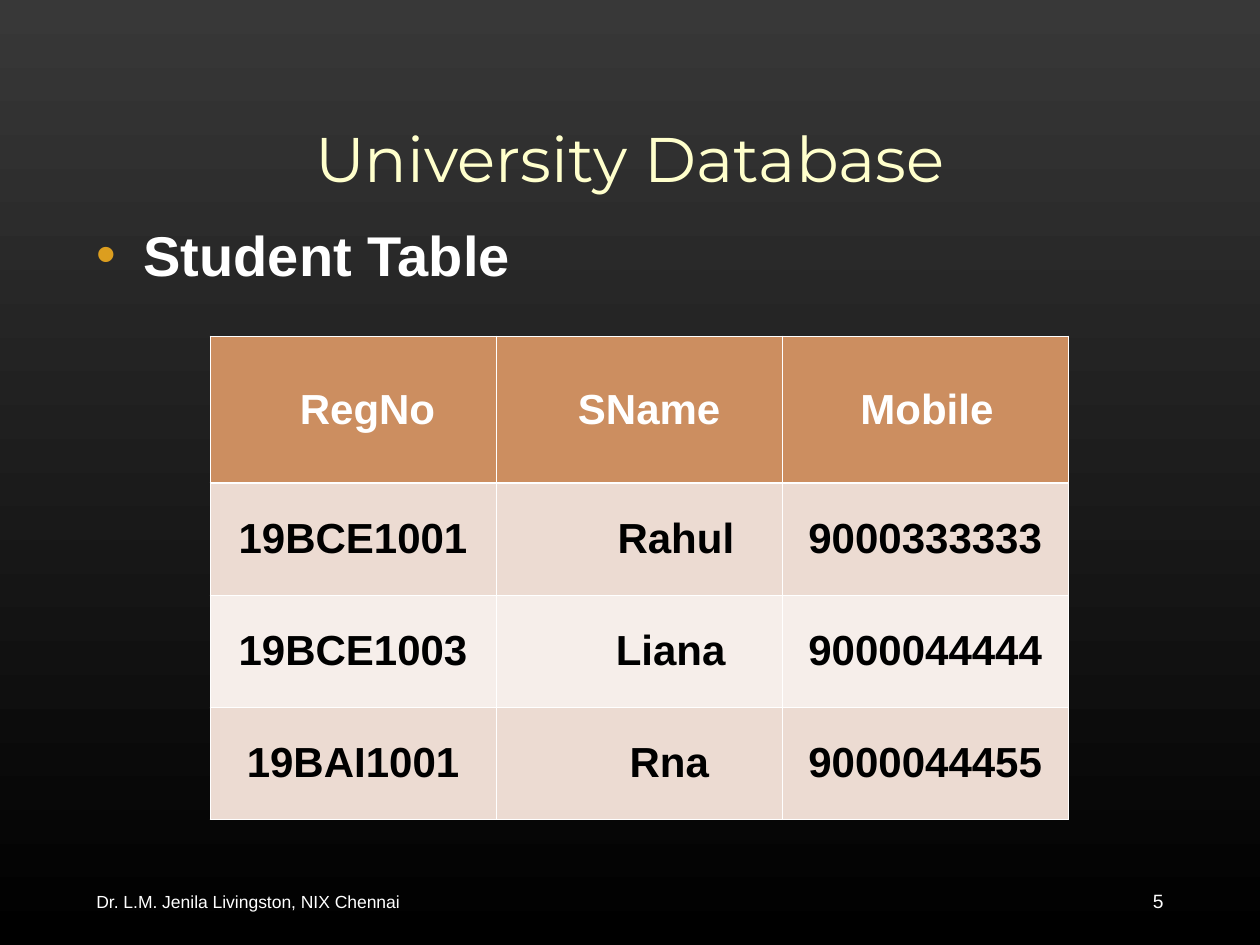
from lxml.etree import SubElement
from pptx import Presentation
from pptx.dml.color import RGBColor
from pptx.enum.text import MSO_ANCHOR, PP_ALIGN
from pptx.oxml.ns import qn
from pptx.util import Pt

COLORS = {
    "background_top": "383838",
    "background_bottom": "000000",
    "title": "FFFFCC",
    "light": "FFFFFF",
    "dark": "000000",
    "bullet": "DC9E1F",
    "header": "CC8E60",
    "odd_row": "ECDBD2",
    "even_row": "F6EEEA",
}


def color(name):
    return RGBColor.from_string(COLORS[name])


def write(frame, text, text_color, align, **font_format):
    """Fill a text frame with one formatted paragraph and return it."""
    frame.word_wrap = True
    para = frame.paragraphs[0]
    para.alignment = align
    span = para.add_run()
    span.text = text
    span.font.color.rgb = color(text_color)
    for key, value in ({"name": "Arial", "bold": False} | font_format).items():
        setattr(span.font, key, value)
    return para


deck = Presentation()
deck.slide_width, deck.slide_height = Pt(720), Pt(540)
page = deck.slides.add_slide(deck.slide_layouts[5])

# Background: dark gradient from top to bottom
backdrop = page.background.fill
backdrop.gradient()
backdrop.gradient_angle = 270
for stop, position, name in zip(
    backdrop.gradient_stops, (0, 1), ("background_top", "background_bottom")
):
    stop.position = position
    stop.color.rgb = color(name)

# Title
title = page.shapes.title
title.left, title.top, title.width, title.height = Pt(48), Pt(21.6), Pt(624), Pt(90)
title.text_frame.vertical_anchor = MSO_ANCHOR.BOTTOM
title.text_frame.margin_bottom = 0
write(title.text_frame, "University Database", "title", PP_ALIGN.CENTER,
      name="Montserrat", size=Pt(36))

# Bulleted heading
heading = page.shapes.add_textbox(Pt(48), Pt(126), Pt(624), Pt(324))
heading.text_frame.margin_top = 0
para = write(heading.text_frame, "Student Table", "light", PP_ALIGN.LEFT,
             size=Pt(32), bold=True)
para.space_before, para.space_after = Pt(8), Pt(6)
properties = para._p.get_or_add_pPr()
properties.set("marL", str(Pt(27)))
properties.set("indent", str(Pt(-27)))
bullet_color = SubElement(properties, qn("a:buClr"))
SubElement(bullet_color, qn("a:srgbClr"), val=COLORS["bullet"])
SubElement(properties, qn("a:buFont"), typeface="Arial")
SubElement(properties, qn("a:buChar"), char="•")

# Student table: each cell holds its text and left indent in points
STUDENTS = [
    [("RegNo", 16.5), ("SName", 11.5), ("Mobile", 2)],
    [("19BCE1001", 0), ("Rahul", 42), ("9000333333", 0)],
    [("19BCE1003", 0), ("Liana", 36), ("9000044444", 0)],
    [("19BAI1001", 0), ("Rna", 34.5), ("9000044455", 0)],
]
ROW_FILLS = ["header", "odd_row", "even_row", "odd_row"]
ROW_HEIGHTS = [84, 64, 64, 64]
THIN, THICK = 0.45, 1.47

table = page.shapes.add_table(4, 3, Pt(120), Pt(192), Pt(490.5), Pt(276)).table
for column in table.columns:
    column.width = Pt(163.5)
for row_index, students in enumerate(STUDENTS):
    table.rows[row_index].height = Pt(ROW_HEIGHTS[row_index])
    borders = {
        "a:lnL": THIN,
        "a:lnR": THIN,
        "a:lnT": THICK if row_index == 1 else THIN,
        "a:lnB": THICK if row_index == 0 else THIN,
    }
    for column_index, (text, indent) in enumerate(students):
        cell = table.cell(row_index, column_index)
        cell.vertical_anchor = MSO_ANCHOR.MIDDLE
        para = write(cell.text_frame, text, "dark" if row_index else "light",
                     PP_ALIGN.CENTER, size=Pt(24), bold=True)
        para._p.get_or_add_pPr().set("marL", str(Pt(indent)))
        cell_properties = cell._tc.get_or_add_tcPr()
        for tag, width in borders.items():
            line = SubElement(cell_properties, qn(tag), w=str(Pt(width)))
            line_fill = SubElement(line, qn("a:solidFill"))
            SubElement(line_fill, qn("a:srgbClr"), val=COLORS["light"])
        cell.fill.solid()
        cell.fill.fore_color.rgb = color(ROW_FILLS[row_index])

# Footer and page number
for left, width, text, align, size in [
    (48, 276, "Dr. L.M. Jenila Livingston, NIX Chennai", PP_ALIGN.LEFT, 10),
    (594, 78, "5", PP_ALIGN.RIGHT, 11),
]:
    box = page.shapes.add_textbox(Pt(left), Pt(500.5), Pt(width), Pt(28.8))
    box.text_frame.vertical_anchor = MSO_ANCHOR.MIDDLE
    write(box.text_frame, text, "light", align, size=Pt(size))

deck.save("out.pptx")
